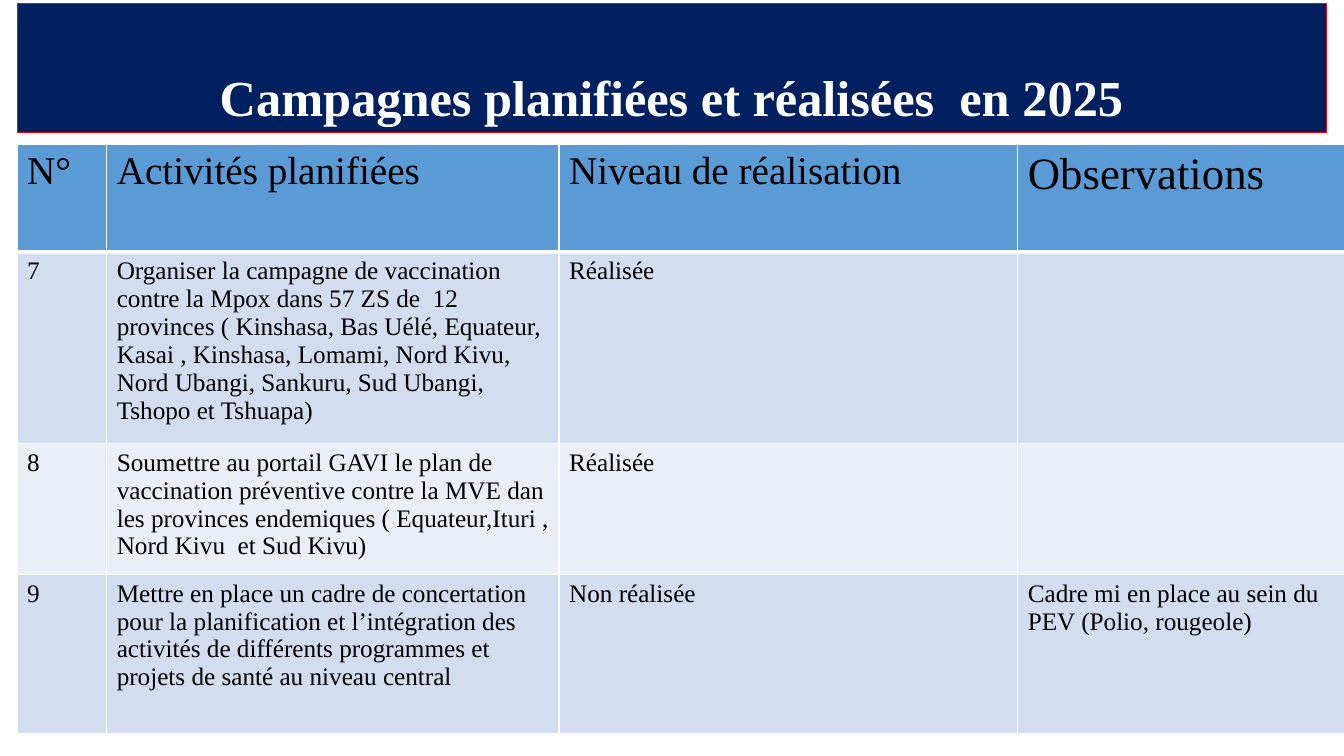
from dataclasses import dataclass

from lxml.etree import SubElement
from pptx import Presentation
from pptx.dml.color import RGBColor as Rgb
from pptx.enum.text import MSO_ANCHOR as Anchor, MSO_AUTO_SIZE as AutoSize, PP_ALIGN as Align
from pptx.oxml.ns import qn
from pptx.util import Cm, Pt


@dataclass(frozen=True)
class Theme:
    font: str = "Times New Roman"
    navy: str = "002060"
    red: str = "FF0000"
    white: str = "FFFFFF"
    black: str = "000000"
    header: str = "5B9BD5"
    bands: tuple = ("D2DEEF", "EAEFF7")
    title_size: int = 36
    header_size: int = 28
    large_header_size: int = 32
    body_size: int = 18
    thin: int = 1
    thick: int = 3


THEME = Theme()

TITLE = "Campagnes planifiées et réalisées  en 2025"
HEADINGS = ("N°", "Activités planifiées", "Niveau de réalisation", "Observations")
ACTIVITIES = (
    ("7",
     "Organiser la campagne de vaccination contre la Mpox dans 57 ZS de  12 provinces "
     "( Kinshasa, Bas Uélé, Equateur, Kasai , Kinshasa, Lomami, Nord Kivu, Nord Ubangi, "
     "Sankuru, Sud Ubangi, Tshopo et Tshuapa)",
     "Réalisée", ""),
    ("8",
     "Soumettre au portail GAVI le plan de vaccination préventive contre la MVE dan les "
     "provinces endemiques ( Equateur,Ituri , Nord Kivu  et Sud Kivu)",
     "Réalisée", ""),
    ("9",
     "Mettre en place un cadre de concertation pour la planification et l’intégration des "
     "activités de différents programmes et projets de santé au niveau central",
     "Non réalisée", "Cadre mi en place au sein du PEV (Polio, rougeole)"),
)
COLUMN_WIDTHS = (2.26, 11.4, 11.56, 8.23)
ROW_HEIGHTS = (2.72, 4.83, 3.3, 4.01)


def add_text(para, text, size, color, bold=False):
    run = para.add_run()
    run.text = text
    run.font.name = THEME.font
    run.font.size = Pt(size)
    run.font.bold = bold
    run.font.color.rgb = Rgb.from_string(color)


def set_title(page):
    title = page.shapes.title
    title.left, title.top, title.width, title.height = Cm(0.43), Cm(0.1), Cm(33), Cm(3.23)
    title.fill.solid()
    title.fill.fore_color.rgb = Rgb.from_string(THEME.navy)
    title.line.color.rgb = Rgb.from_string(THEME.red)
    title.line.width = Pt(0.75)
    frame = title.text_frame
    frame.word_wrap = True
    frame.auto_size = AutoSize.NONE
    frame.vertical_anchor = Anchor.BOTTOM
    para = frame.paragraphs[0]
    para.alignment = Align.CENTER
    para.line_spacing = 0.9
    add_text(para, TITLE, THEME.title_size, THEME.white, bold=True)


def set_borders(cell, top, bottom):
    # Border elements must stand before the fill
    properties = cell._tc.get_or_add_tcPr()
    widths = {"lnL": THEME.thin, "lnR": THEME.thin, "lnT": top, "lnB": bottom}
    for position, (side, width) in enumerate(widths.items()):
        border = SubElement(properties, qn(f"a:{side}"), w=str(Pt(width)))
        fill = SubElement(border, qn("a:solidFill"))
        SubElement(fill, qn("a:srgbClr"), val=THEME.white)
        properties.insert(position, border)


def fill_cell(cell, text, size, color, top, bottom):
    cell.fill.solid()
    cell.fill.fore_color.rgb = Rgb.from_string(color)
    set_borders(cell, top, bottom)
    if text:
        add_text(cell.text_frame.paragraphs[0], text, size, THEME.black)


def add_activity_table(page):
    frame = page.shapes.add_table(len(ROW_HEIGHTS), len(COLUMN_WIDTHS), Cm(0.43), Cm(3.63),
                                  Cm(sum(COLUMN_WIDTHS)), Cm(sum(ROW_HEIGHTS)))
    table = frame.table
    for column, width in zip(table.columns, COLUMN_WIDTHS):
        column.width = Cm(width)
    for row, height in zip(table.rows, ROW_HEIGHTS):
        row.height = Cm(height)

    # Header row, with a heavier rule below
    for index, heading in enumerate(HEADINGS):
        is_last = index == len(HEADINGS) - 1
        size = THEME.large_header_size if is_last else THEME.header_size
        fill_cell(table.cell(0, index), heading, size, THEME.header, THEME.thin, THEME.thick)

    # Banded activity rows
    for number, activity in enumerate(ACTIVITIES, start=1):
        band = THEME.bands[(number - 1) % 2]
        top = THEME.thick if number == 1 else THEME.thin
        for index, text in enumerate(activity):
            fill_cell(table.cell(number, index), text, THEME.body_size, band, top, THEME.thin)


def main():
    deck = Presentation()
    deck.slide_width, deck.slide_height = Cm(33.87), Cm(19.05)
    page = deck.slides.add_slide(deck.slide_layouts.get_by_name("Title Only"))
    set_title(page)
    add_activity_table(page)
    deck.save("out.pptx")


if __name__ == "__main__":
    main()
